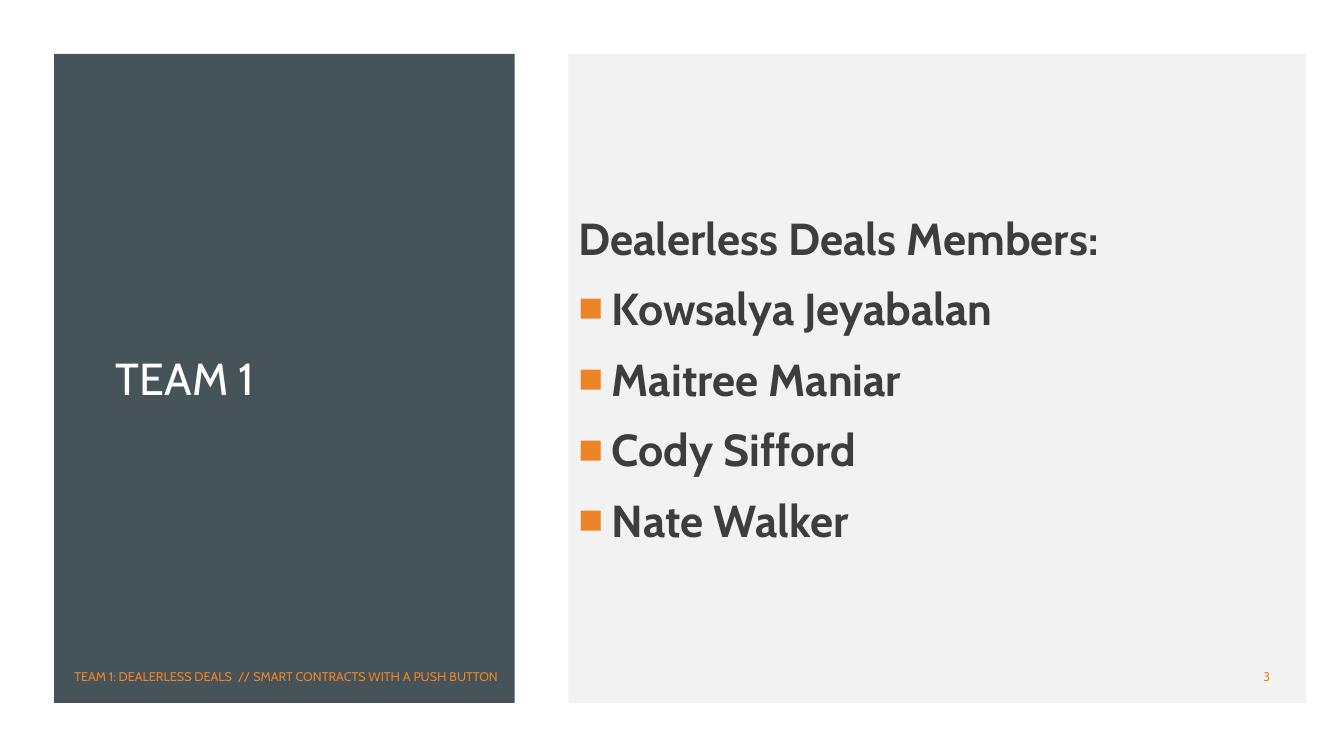
from lxml.etree import SubElement
from pptx import Presentation
from pptx.dml.color import RGBColor
from pptx.enum.shapes import MSO_SHAPE
from pptx.enum.text import MSO_ANCHOR, PP_ALIGN
from pptx.oxml.ns import qn
from pptx.util import Pt

WHITE, SLATE, PALE = "FFFFFF", "465359", "F2F2F2"
INK, ORANGE = "3D3D3D", "ED8428"


def color(hex_code):
    return RGBColor.from_string(hex_code)


class Page:
    """Holds the style and the current slide."""
    font = "Cabin"
    bullet_indent = Pt(24)

    def __init__(self, slide):
        self.slide = slide

    def panel(self, left, top, width, height, fill):
        panel = self.slide.shapes.add_shape(
            MSO_SHAPE.RECTANGLE, Pt(left), Pt(top), Pt(width), Pt(height))
        panel.shadow.inherit = False
        panel.fill.solid()
        panel.fill.fore_color.rgb = color(fill)
        panel.line.fill.background()
        return panel

    def label(self, left, top, width, height, text, size, ink, align=PP_ALIGN.LEFT):
        label = self.slide.shapes.add_textbox(Pt(left), Pt(top), Pt(width), Pt(height))
        self.set_text(label, text, size, ink, align)

    def set_text(self, shape, text, size, ink, align=PP_ALIGN.LEFT, bold=False):
        frame = shape.text_frame
        frame.word_wrap = True
        frame.vertical_anchor = MSO_ANCHOR.MIDDLE
        frame.text = text
        for paragraph in frame.paragraphs:
            paragraph.alignment = align
            for run in paragraph.runs:
                run.font.name = self.font
                run.font.size = Pt(size)
                run.font.bold = bold
                run.font.color.rgb = color(ink)
        return frame.paragraphs

    def bullet(self, paragraph, ink):
        props = paragraph._p.get_or_add_pPr()
        props.set("marL", str(self.bullet_indent))
        props.set("indent", str(-self.bullet_indent))
        tint = SubElement(props, qn("a:buClr"))
        SubElement(tint, qn("a:srgbClr"), val=ink)
        SubElement(props, qn("a:buSzPct"), val="92000")
        SubElement(props, qn("a:buFont"), typeface="Arial")
        SubElement(props, qn("a:buChar"), char="■")


deck = Presentation()
deck.slide_width, deck.slide_height = Pt(960), Pt(540)
page = Page(deck.slides.add_slide(deck.slide_layouts[6]))

# Title panel
page.panel(38.6, 38.4, 329, 463.6, SLATE)
page.label(75.6, 87.8, 257.8, 364.3, "TEAM 1", 32, WHITE)

# Team members
members_panel = page.panel(406, 38.4, 527, 463.6, PALE)
members = ["Kowsalya Jeyabalan", "Maitree Maniar", "Cody Sifford", "Nate Walker"]
lines = page.set_text(members_panel, "\n".join(["Dealerless Deals Members:"] + members),
                      32, INK, bold=True)
for line in lines:
    line.space_before = line.space_after = Pt(6)
for member_line in lines[1:]:
    page.bullet(member_line, ORANGE)

# Slide number and footer
page.label(831.6, 468.7, 82.8, 28.8, "3", 9, ORANGE, PP_ALIGN.RIGHT)
page.label(46, 468.7, 544, 28.8,
           "TEAM 1: DEALERLESS DEALS  // SMART CONTRACTS WITH A PUSH BUTTON", 9, ORANGE)

deck.save("out.pptx")
